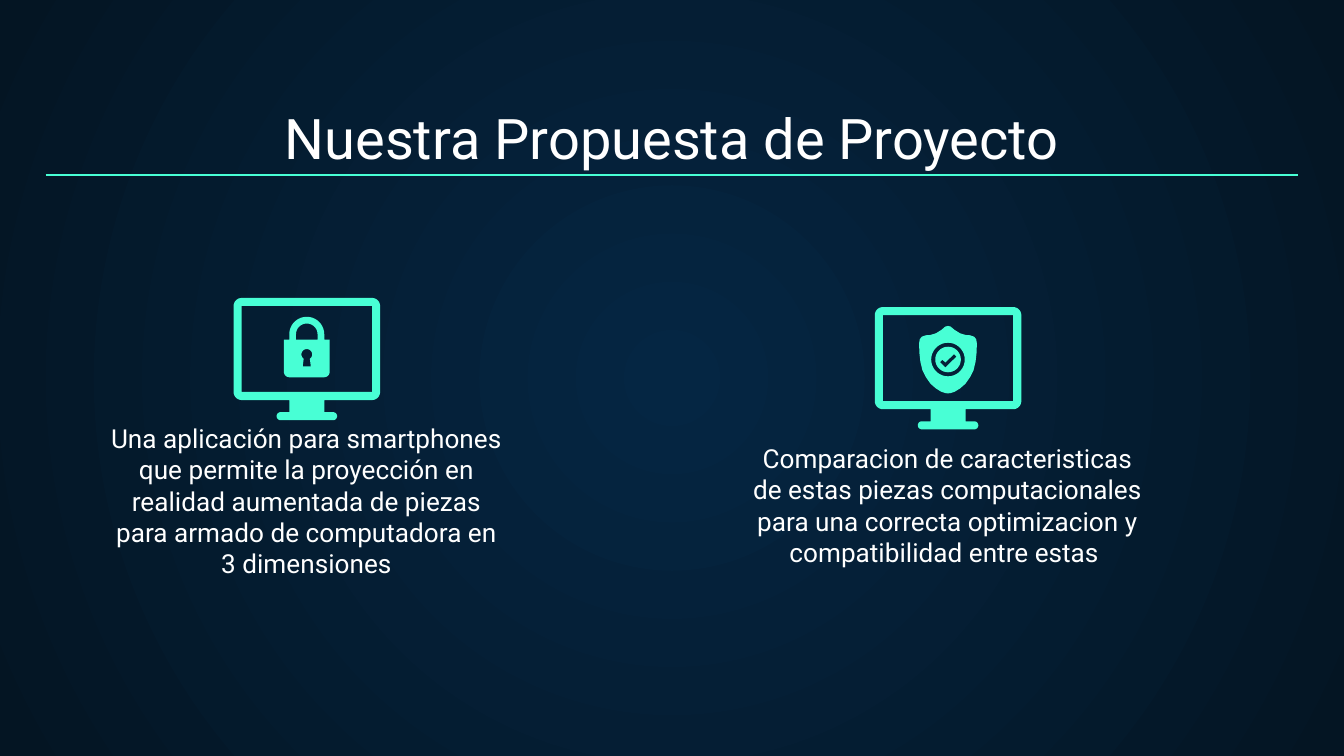
from dataclasses import dataclass
from math import cos, radians, sin

from lxml.etree import SubElement
from pptx import Presentation
from pptx.dml.color import RGBColor
from pptx.enum.shapes import MSO_CONNECTOR
from pptx.enum.text import MSO_ANCHOR, MSO_AUTO_SIZE, PP_ALIGN
from pptx.oxml.ns import qn
from pptx.util import Inches, Pt


@dataclass(frozen=True)
class Theme:
    font: str = "Roboto"
    text: RGBColor = RGBColor(0xFF, 0xFF, 0xFF)
    accent: RGBColor = RGBColor(0x48, 0xFF, 0xD5)
    glow: RGBColor = RGBColor(0x05, 0x26, 0x43)
    edge: RGBColor = RGBColor(0x04, 0x15, 0x23)
    title_size: Pt = Pt(30)
    body_size: Pt = Pt(14)
    rule_width: Pt = Pt(0.75)


THEME = Theme()
WIDTH = Inches(10)
HEIGHT = WIDTH * 9 // 16
COLUMNS = 100
MARGIN = 3.4
BODY_COLUMNS = 31.8
TWO_CONTENT = 3


def cells(n):
    """Length of n cells of the square grid, 100 of which span the slide."""
    return round(WIDTH * n / COLUMNS)


def arc(cx, cy, radius, start, end):
    """Points on a circle, in degrees clockwise from the right."""
    steps = max(4, round((end - start) / 10))
    angles = [radians(start + (end - start) * i / steps) for i in range(steps + 1)]
    return [(cx + radius * cos(a), cy + radius * sin(a)) for a in angles]


def mirror(half):
    """Close a right-hand half outline with its reflection about x = 0."""
    return half + [(-x, y) for x, y in reversed(half)]


# Contours are in cells, measured from the top centre of the monitor.
# A contour inside another one is a hole.
MONITOR = [
    mirror(arc(4.85, 0.6, 0.6, -90, 0) + arc(4.85, 7, 0.6, 0, 90)
           + [(1.3, 7.6), (1.3, 8.5)] + arc(1.95, 8.8, 0.3, -90, 90)),
    mirror([(4.85, 0.6), (4.85, 7)]),
]
LOCK = [
    mirror(arc(0, 2.7, 1.3, -90, 0) + [(1.3, 3.1), (1.7, 3.1)]
           + arc(1.3, 5.5, 0.4, 0, 90)),
    mirror(arc(0, 2.7, 0.8, -90, 0) + [(0.8, 3.1)]),
    mirror(arc(0, 4.2, 0.4, -90, 55) + [(0.3, 5.1)]),
]
SHIELD = [
    mirror([(0, 1.4), (0.2, 1.45), (0.5, 1.7), (0.9, 1.95), (1.3, 2.07),
            (1.65, 2.1), (1.95, 2.2), (2.1, 2.4), (2.15, 2.7), (2.13, 3.4),
            (2.05, 4.1), (1.9, 4.7), (1.65, 5.2), (1.3, 5.7), (0.9, 6.05),
            (0.5, 6.3), (0.2, 6.4), (0, 6.42)]),
    arc(0, 3.9, 1.25, 0, 360),
]
CHECK_BADGE = [
    arc(0, 3.9, 0.95, 0, 360),
    [(0.45, 3.5), (0.63, 3.68), (-0.2, 4.5), (-0.6, 4.1), (-0.42, 3.92), (-0.2, 4.12)],
]


def paint_background(s):
    fill = s.background.fill
    fill.gradient()
    for stop, color in zip(fill.gradient_stops, (THEME.glow, THEME.edge)):
        stop.color.rgb = color
    grad = s.element.find(".//" + qn("a:gradFill"))
    grad.remove(grad.find(qn("a:lin")))
    circle = SubElement(grad, qn("a:path"), path="circle")
    SubElement(circle, qn("a:fillToRect"), dict.fromkeys("ltrb", "50000"))


def fill_placeholder(sp, text, box, size):
    sp.left, sp.top, sp.width, sp.height = map(cells, box)
    tf = sp.text_frame
    tf.text = text
    p = tf.paragraphs[0]
    inset = cells(1)
    formats = (
        (tf, {"word_wrap": True, "auto_size": MSO_AUTO_SIZE.NONE,
              "vertical_anchor": MSO_ANCHOR.BOTTOM,
              "margin_left": inset, "margin_right": inset,
              "margin_top": inset, "margin_bottom": inset}),
        (p, {"alignment": PP_ALIGN.CENTER, "space_before": Pt(0)}),
        (p.runs[0].font, {"name": THEME.font, "size": size}),
    )
    for target, values in formats:
        for name, value in values.items():
            setattr(target, name, value)
    p.runs[0].font.color.rgb = THEME.text
    pPr = p._p.get_or_add_pPr()
    pPr.set("marL", "0")
    pPr.set("indent", "0")
    SubElement(pPr, qn("a:buNone"))


def add_outline(shapes, contours, center, top):
    placed = [[(cells(center + x), cells(top + y)) for x, y in c] for c in contours]
    first, *rest = placed
    builder = shapes.build_freeform(*first[0])
    builder.add_line_segments(first[1:], close=True)
    for contour in rest:
        builder.move_to(*contour[0])
        builder.add_line_segments(contour[1:], close=True)
    sp = builder.convert_to_shape()
    sp.shadow.inherit = False
    sp.fill.solid()
    sp.fill.fore_color.rgb = THEME.accent
    sp.line.fill.background()


def add_icon(shapes, parts, center, top):
    for contours in parts:
        add_outline(shapes, contours, center, top)


def add_rule(s, row):
    y = cells(row)
    line = s.shapes.add_connector(MSO_CONNECTOR.STRAIGHT, cells(MARGIN), y,
                                  cells(COLUMNS - MARGIN), y)
    line.line.color.rgb = THEME.accent
    line.line.width = THEME.rule_width
    SubElement(line._element.spPr, qn("a:effectLst"))


def main():
    prs = Presentation()
    prs.slide_width, prs.slide_height = WIDTH, HEIGHT
    s = prs.slides.add_slide(prs.slide_layouts[TWO_CONTENT])
    paint_background(s)

    title, left, right = s.placeholders
    fill_placeholder(title, "Nuestra Propuesta de Proyecto",
                     (MARGIN, 7.1, COLUMNS - 2 * MARGIN, 6.6), THEME.title_size)
    fill_placeholder(left, "Una aplicación para smartphones que permite la proyección "
                     "en realidad aumentada de piezas para armado de computadora en "
                     "3 dimensiones", (6.9, 30.6, BODY_COLUMNS, 13.5), THEME.body_size)
    fill_placeholder(right, "Comparacion de caracteristicas de estas piezas "
                     "computacionales para una correcta optimizacion y compatibilidad "
                     "entre estas ", (54.6, 32, BODY_COLUMNS, 11.25), THEME.body_size)

    add_icon(s.shapes, (MONITOR, LOCK), 22.83, 22.17)
    group = s.shapes.add_group_shape()
    add_icon(group.shapes, (MONITOR, CHECK_BADGE, SHIELD), 70.54, 22.85)
    add_rule(s, 13.03)
    prs.save("out.pptx")


if __name__ == "__main__":
    main()
